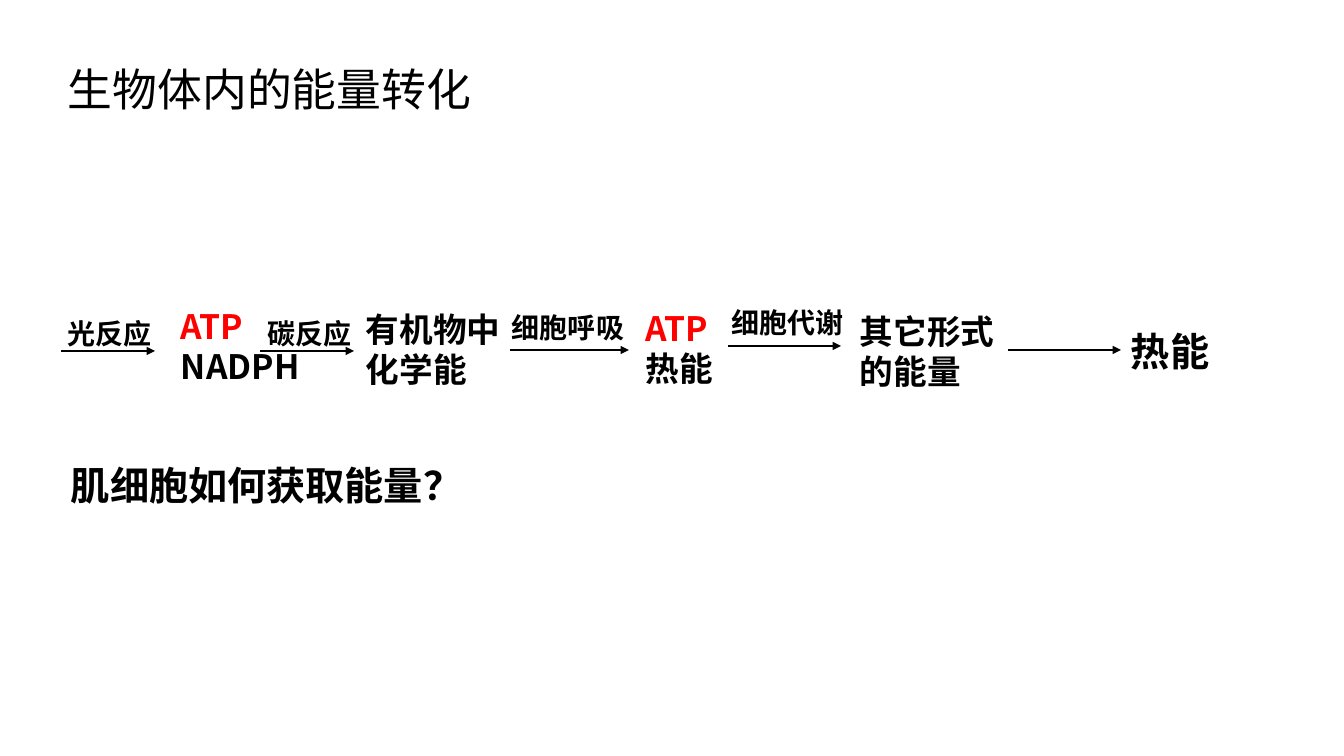
from lxml.etree import SubElement
from pptx import Presentation
from pptx.dml.color import RGBColor
from pptx.enum.shapes import MSO_CONNECTOR as Connector
from pptx.enum.text import MSO_ANCHOR as Anchor, MSO_AUTO_SIZE as AutoSize
from pptx.oxml.ns import qn
from pptx.util import Pt

BLACK = RGBColor(0, 0, 0)
RED = RGBColor(255, 0, 0)
FONT = "Noto Sans CJK SC"
PX = 914400 / 100.8

HEADINGS = [
    ("生物体内的能量转化", 58, 57, 461, 65, 32, False),
    ("肌细胞如何获取能量？", 61, 456, 461, 57, 28, True),
]
STAGES = [
    (["ATP", "NADPH"], 171, 301, 184, 132, 24),
    (["有机物中化学能"], 356, 304, 163, 92, 24),
    (["ATP", "热能"], 636, 303, 184, 92, 24),
    (["其它形式的能量"], 850, 306, 184, 92, 24),
    (["热能"], 1121, 322, 184, 57, 28),
]
PROCESSES = [
    ("光反应", 58, 312),
    ("碳反应", 258, 312),
    ("细胞呼吸", 502, 306),
    ("细胞代谢", 722, 301),
]
ARROWS = [
    (61, 155, 351),
    (260, 354, 351),
    (510, 629, 350),
    (728, 841, 346),
    (1008, 1121, 350),
]


def px(length):
    return round(length * PX)


def add_label(lines, left, top, width, height, size, bold=True):
    label = slide.shapes.add_textbox(px(left), px(top), px(width), px(height))
    frame = label.text_frame
    frame.word_wrap = True
    frame.auto_size = AutoSize.SHAPE_TO_FIT_TEXT
    frame.vertical_anchor = Anchor.TOP
    for index, line in enumerate(lines):
        paragraph = frame.add_paragraph() if index else frame.paragraphs[0]
        run = paragraph.add_run()
        run.text = line
        run.font.name = FONT
        run.font.size = Pt(size)
        run.font.bold = bold
        run.font.color.rgb = RED if line == "ATP" else BLACK
        SubElement(run.font._element, qn("a:ea"), typeface=FONT)


def add_arrow(start, end, y):
    arrow = slide.shapes.add_connector(
        Connector.STRAIGHT, px(start), px(y), px(end), px(y))
    arrow.line.color.rgb = BLACK
    arrow.line.width = Pt(1)
    SubElement(arrow.line._get_or_add_ln(), qn("a:tailEnd"), type="triangle")
    SubElement(arrow._element.spPr, qn("a:effectLst"))


deck = Presentation()
deck.slide_width, deck.slide_height = px(1344), px(756)
slide = deck.slides.add_slide(deck.slide_layouts[6])

for text, *place in HEADINGS:
    add_label([text], *place)
for text, left, top in PROCESSES:
    add_label([text], left, top, 152, 44, 20)
for arrow_ends in ARROWS:
    add_arrow(*arrow_ends)
for stage in STAGES:
    add_label(*stage)

deck.save("out.pptx")
